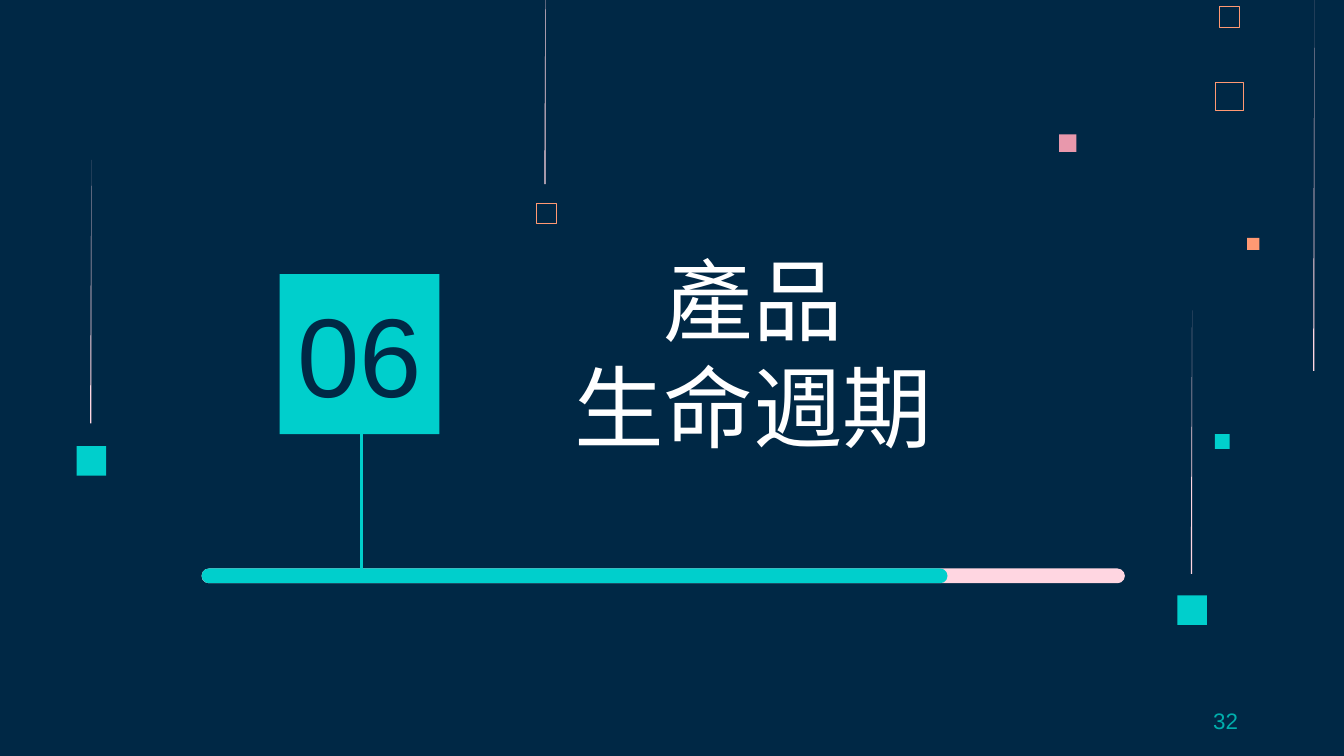
"""Build the section slide for the product life cycle."""
from dataclasses import dataclass
from typing import Optional

import lxml.etree
import pptx
import pptx.dml.color
import pptx.enum.shapes
import pptx.enum.text
import pptx.oxml.ns
import pptx.util

Inches = pptx.util.Inches
Kind = pptx.enum.shapes.MSO_SHAPE
Align = pptx.enum.text.PP_ALIGN
Anchor = pptx.enum.text.MSO_ANCHOR
COLORS = {
    "navy": "002845", "teal": "00CFCC", "dark_teal": "00AEAC", "orange": "FF9973",
    "rose": "E898AC", "pale_pink": "FFD6E1", "white": "FFFFFF",
}


@dataclass
class Square:
    left: float
    top: float
    size: float
    color: str
    outline: Optional[float] = None


@dataclass
class Streak:
    left: float
    top: float
    height: float


@dataclass
class Label:
    text: str
    font: str
    size: int
    color: str
    align: Align = Align.CENTER
    anchor: Anchor = Anchor.MIDDLE


SQUARES = [
    Square(7.88, 1, 0.13, "rose"),
    Square(9.04, 3.23, 0.11, "teal"),
    Square(9.04, 0.61, 0.21, "orange", 0.45),
    Square(9.07, 0.05, 0.15, "orange", 0.32),
    Square(9.28, 1.77, 0.09, "orange"),
    Square(3.99, 1.51, 0.15, "orange", 0.32),
    Square(8.76, 4.43, 0.22, "teal"),
    Square(0.57, 3.32, 0.22, "teal"),
]
STREAKS = [
    Streak(4.05, -0.48, 1.85),
    Streak(9.77, 0, 2.76),
    Streak(8.86, 2.31, 1.96),
    Streak(0.67, 1.19, 1.96),
]


def rgb(name: str) -> pptx.dml.color.RGBColor:
    """Return the named palette colour."""
    return pptx.dml.color.RGBColor.from_string(COLORS[name])


def fill_shape(shape, color: str) -> None:
    """Give a shape a plain fill without line or shadow."""
    shape.shadow.inherit = False
    shape.fill.solid()
    shape.fill.fore_color.rgb = rgb(color)
    shape.line.fill.background()


def add_block(slide, kind: Kind, left: float, top: float, width: float, height: float, color: str):
    """Add a filled preset shape."""
    shape = slide.shapes.add_shape(kind, Inches(left), Inches(top), Inches(width), Inches(height))
    fill_shape(shape, color)
    return shape


def add_square(slide, square: Square) -> None:
    """Add a filled or outlined square."""
    shape = add_block(slide, Kind.RECTANGLE, square.left, square.top, square.size, square.size, square.color)
    if square.outline:
        shape.fill.background()
        shape.line.color.rgb = rgb(square.color)
        shape.line.width = pptx.util.Pt(square.outline)


def add_streak(slide, streak: Streak) -> None:
    """Add a thin streak that tapers towards its top."""
    right, bottom = streak.left + 0.01, streak.top + streak.height
    builder = slide.shapes.build_freeform(Inches(right), Inches(streak.top))
    builder.add_line_segments([(Inches(streak.left), Inches(bottom)), (Inches(right), Inches(bottom))])
    fill_shape(builder.convert_to_shape(), "pale_pink")


def add_bar(slide, width: float, color: str) -> None:
    """Add a progress bar with round ends."""
    bar = add_block(slide, Kind.ROUNDED_RECTANGLE, 1.5, 4.23, width, 0.11, color)
    bar.adjustments[0] = 0.5


def add_stem(slide) -> None:
    """Join the number block to the progress bar."""
    stem = slide.shapes.add_connector(
        pptx.enum.shapes.MSO_CONNECTOR.STRAIGHT, Inches(2.69), Inches(3.23), Inches(2.69), Inches(4.3))
    stem.line.color.rgb = rgb("teal")
    stem.line.width = pptx.util.Pt(1.5)
    properties = stem._element.spPr
    lxml.etree.SubElement(properties, pptx.oxml.ns.qn("a:effectLst"))


def place_text(shape, left: float, top: float, width: float, height: float, label: Label) -> None:
    """Place a text shape and set its formatted text."""
    shape.left, shape.top = Inches(left), Inches(top)
    shape.width, shape.height = Inches(width), Inches(height)
    frame = shape.text_frame
    frame.text = label.text
    frame.word_wrap = True
    frame.auto_size = pptx.enum.text.MSO_AUTO_SIZE.NONE
    frame.vertical_anchor = label.anchor
    frame.margin_left = frame.margin_right = Inches(0.1)
    frame.margin_top = frame.margin_bottom = Inches(0.1)
    paragraph = frame.paragraphs[0]
    paragraph.alignment = label.align
    for run in paragraph.runs:
        run.font.name = label.font
        run.font.size = pptx.util.Pt(label.size)
        run.font.color.rgb = rgb(label.color)
        east_asian = lxml.etree.SubElement(run.font._element, pptx.oxml.ns.qn("a:ea"))
        east_asian.set("typeface", label.font)


def add_text(slide, left: float, top: float, width: float, height: float, label: Label) -> None:
    """Add a text box."""
    box = slide.shapes.add_textbox(0, 0, 0, 0)
    place_text(box, left, top, width, height, label)


def main() -> None:
    """Create and save the presentation."""
    presentation = pptx.Presentation()
    presentation.slide_width = Inches(10)
    presentation.slide_height = presentation.slide_width * 9 // 16
    slide = presentation.slides.add_slide(presentation.slide_layouts[5])
    slide.background.fill.solid()
    slide.background.fill.fore_color.rgb = rgb("navy")
    for square in SQUARES:
        add_square(slide, square)
    for streak in STREAKS:
        add_streak(slide, streak)
    title = Label("產品\v生命週期", "Noto Sans CJK SC", 48, "white", anchor=Anchor.BOTTOM)
    place_text(slide.shapes.title, 4.17, 1.73, 2.87, 1.79, title)
    add_block(slide, Kind.RECTANGLE, 2.08, 2.04, 1.19, 1.19, "teal")
    add_text(slide, 1.98, 2.31, 1.39, 0.63, Label("06", "Arial", 60, "navy"))
    add_bar(slide, 6.87, "pale_pink")
    add_bar(slide, 5.55, "teal")
    add_stem(slide)
    add_text(slide, 7.06, 5.21, 2.25, 0.3, Label("32", "Arial", 12, "dark_teal", Align.RIGHT))
    presentation.save("out.pptx")


if __name__ == "__main__":
    main()
